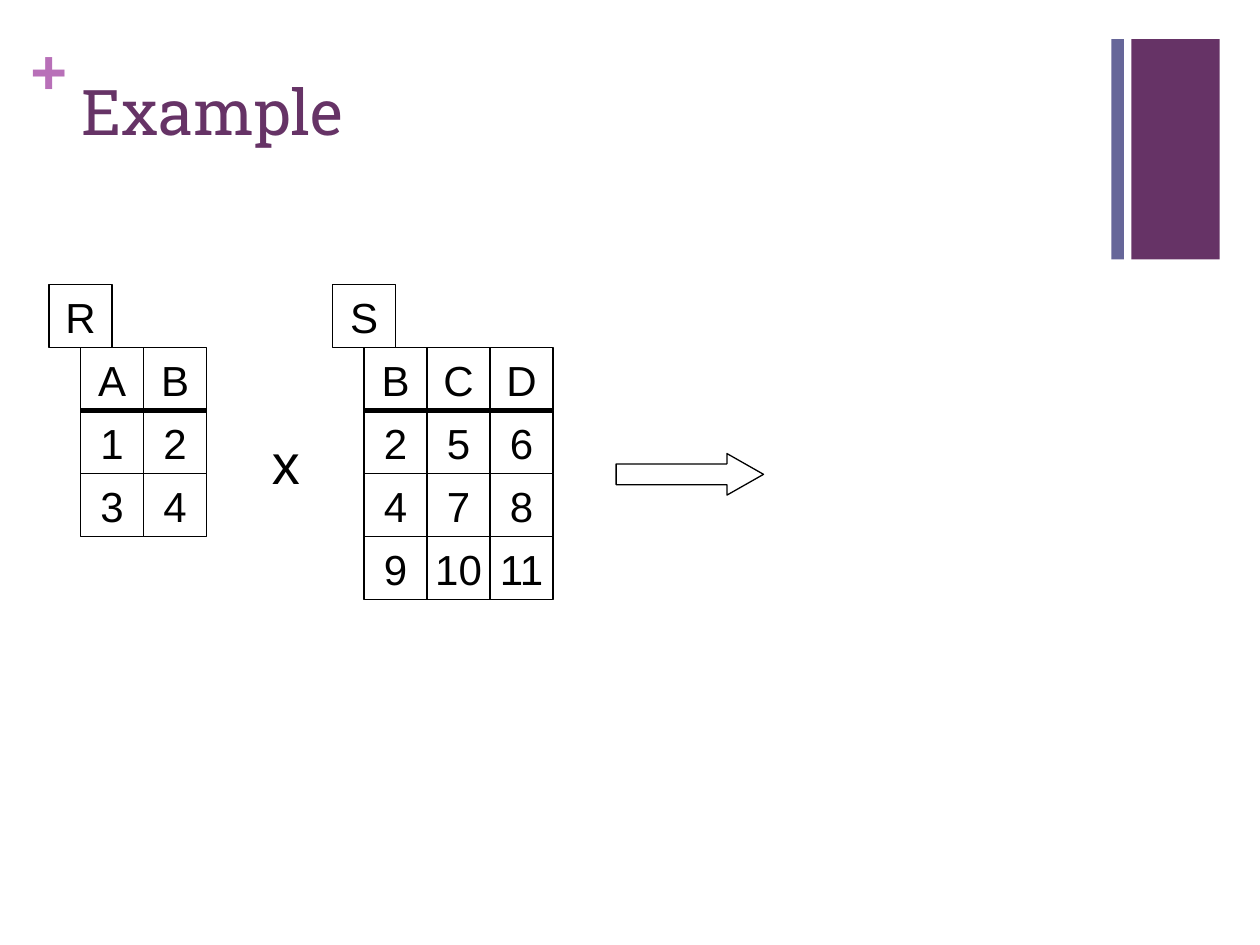
from dataclasses import dataclass

from lxml.etree import SubElement
from pptx import Presentation
from pptx.dml.color import RGBColor
from pptx.enum.shapes import MSO_CONNECTOR, MSO_SHAPE
from pptx.enum.text import MSO_ANCHOR, MSO_AUTO_SIZE, PP_ALIGN
from pptx.oxml.ns import qn
from pptx.shapes.autoshape import Shape
from pptx.slide import Slide
from pptx.util import Inches, Pt

COLORS = {
    "plum": "663366",
    "slate": "666699",
    "orchid": "B870B8",
    "ink": "000000",
    "paper": "FFFFFF",
}
CELL = 0.5  # side of one grid square, inches
GRID_LEFT, GRID_TOP = 0.39, 2.26


@dataclass(frozen=True)
class Box:
    left: float
    top: float
    width: float
    height: float

    def emu(self) -> tuple[int, ...]:
        return tuple(Inches(v) for v in (self.left, self.top, self.width, self.height))


@dataclass(frozen=True)
class Relation:
    name: str
    column: float
    rows: tuple[str, ...]  # header first, values separated by spaces


RELATIONS = (
    Relation("R", 0, ("A B", "1 2", "3 4")),
    Relation("S", 4.5, ("B C D", "2 5 6", "4 7 8", "9 10 11")),
)


def color(name: str) -> RGBColor:
    return RGBColor.from_string(COLORS[name])


def on_grid(column: float, row: float, columns: float = 1, rows: float = 1) -> Box:
    return Box(GRID_LEFT + column * CELL, GRID_TOP + row * CELL,
               columns * CELL, rows * CELL)


def write(shape: Shape, text: str, size: float, ink: str = "ink",
          font_name: str = "Arial", bold: bool = False) -> None:
    paragraph = shape.text_frame.paragraphs[0]
    paragraph.text = text
    font = paragraph.font
    font.name, font.size, font.bold = font_name, Pt(size), bold
    font.color.rgb = color(ink)


def add_filled(slide: Slide, box: Box, fill: str, outline: str | None = None,
               kind: MSO_SHAPE = MSO_SHAPE.RECTANGLE) -> Shape:
    shape = slide.shapes.add_shape(kind, *box.emu())
    shape.shadow.inherit = False
    shape.fill.solid()
    shape.fill.fore_color.rgb = color(fill)
    if outline:
        shape.line.color.rgb = color(outline)
        shape.line.width = Pt(0.75)
    else:
        shape.line.fill.background()
    return shape


def add_cell(slide: Slide, column: float, row: float, text: str) -> None:
    cell = add_filled(slide, on_grid(column, row), "paper", "ink")
    frame = cell.text_frame
    frame.word_wrap = False
    frame.vertical_anchor = MSO_ANCHOR.MIDDLE
    write(cell, text, 24)
    frame.paragraphs[0].alignment = PP_ALIGN.CENTER


def add_header_rule(slide: Slide, column: float, columns: int) -> None:
    rule = on_grid(column, 2, columns)
    y = Inches(rule.top)
    line = slide.shapes.add_connector(
        MSO_CONNECTOR.STRAIGHT, Inches(rule.left), y, Inches(rule.left + rule.width), y)
    line.line.color.rgb = color("ink")
    line.line.width = Pt(3)
    SubElement(line._element.spPr, qn("a:effectLst"))


def add_relation(slide: Slide, relation: Relation) -> None:
    """Draw the values half a square to the right of the name, one row below it."""
    first_column = relation.column + 0.5
    rows = [row.split() for row in relation.rows]
    for r, values in enumerate(rows, start=1):
        for c, value in enumerate(values):
            add_cell(slide, first_column + c, r, value)
    add_header_rule(slide, first_column, len(rows[0]))
    add_cell(slide, relation.column, 0, relation.name)


def add_label(slide: Slide, box: Box, wrap: bool = False) -> Shape:
    label = slide.shapes.add_textbox(*box.emu())
    label.text_frame.word_wrap = wrap
    return label


def add_heading(slide: Slide) -> None:
    add_filled(slide, Box(8.98, 0.31, 0.7, 1.75), "plum")
    plus = add_label(slide, Box(0.24, 0.25, 0.28, 0.6), wrap=True)
    frame = plus.text_frame
    frame.margin_left = frame.margin_right = frame.margin_top = frame.margin_bottom = 0
    frame.auto_size = MSO_AUTO_SIZE.SHAPE_TO_FIT_TEXT
    write(plus, "+", 36, "orchid", bold=True)
    add_filled(slide, Box(8.82, 0.31, 0.1, 1.75), "slate")
    title = add_label(slide, Box(0.55, 0.53, 8.26, 1.22), wrap=True)
    write(title, "Example", 36, "plum", "Roboto Slab")


def main() -> None:
    deck = Presentation()
    deck.slide_width, deck.slide_height = Inches(10), Inches(7.5)
    slide = deck.slides.add_slide(deck.slide_layouts[6])

    add_heading(slide)
    for relation in RELATIONS:
        add_relation(slide, relation)

    times = add_label(slide, on_grid(3.34, 2.18, 0.84, 1.28))
    times.text_frame.auto_size = MSO_AUTO_SIZE.SHAPE_TO_FIT_TEXT
    write(times, "x", 32)

    arrow = add_filled(slide, on_grid(9, 2.68, 2.34, 0.66), "paper", "ink",
                       MSO_SHAPE.RIGHT_ARROW)
    arrow.adjustments[0], arrow.adjustments[1] = 0.5, 0.88

    deck.save("out.pptx")


if __name__ == "__main__":
    main()
